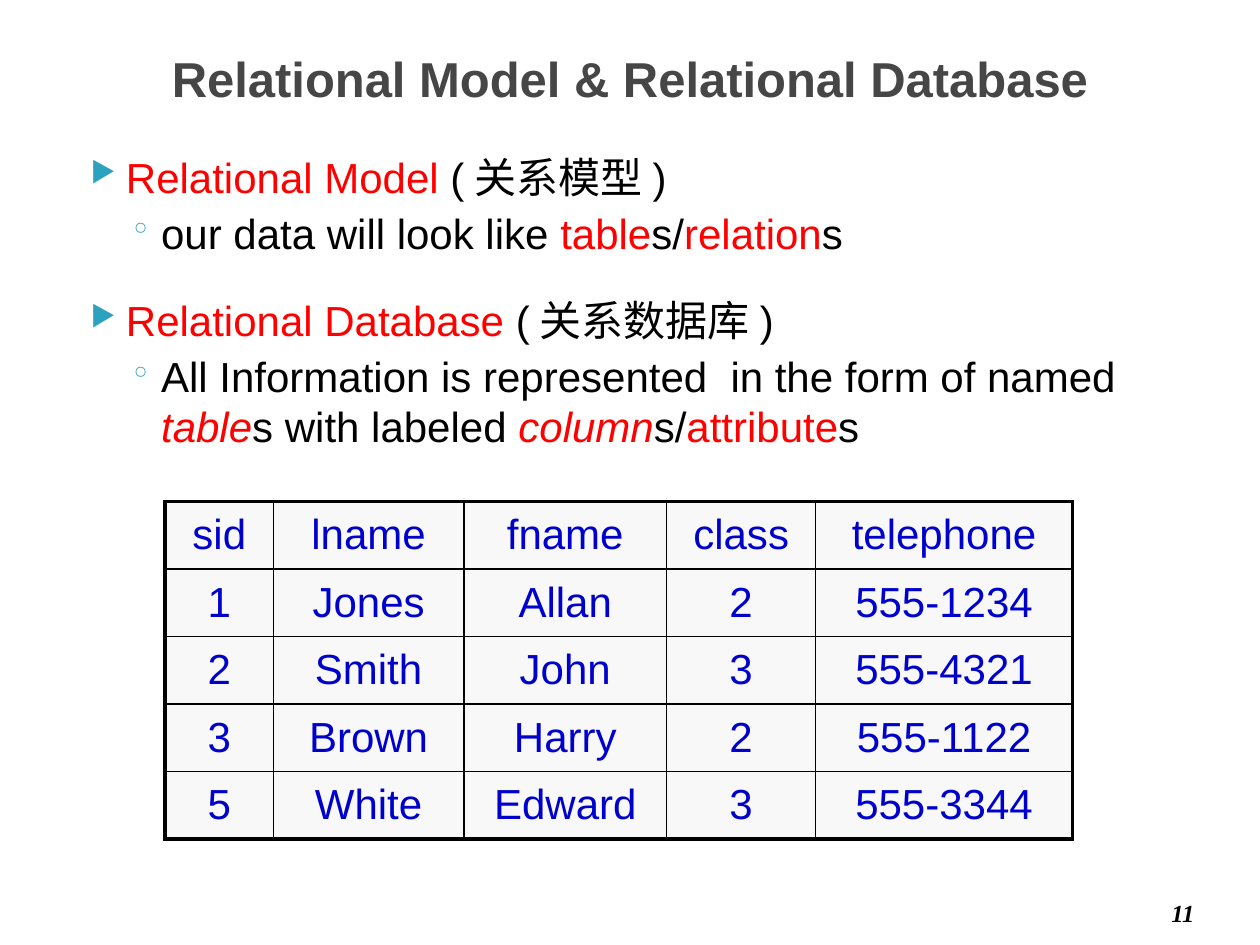
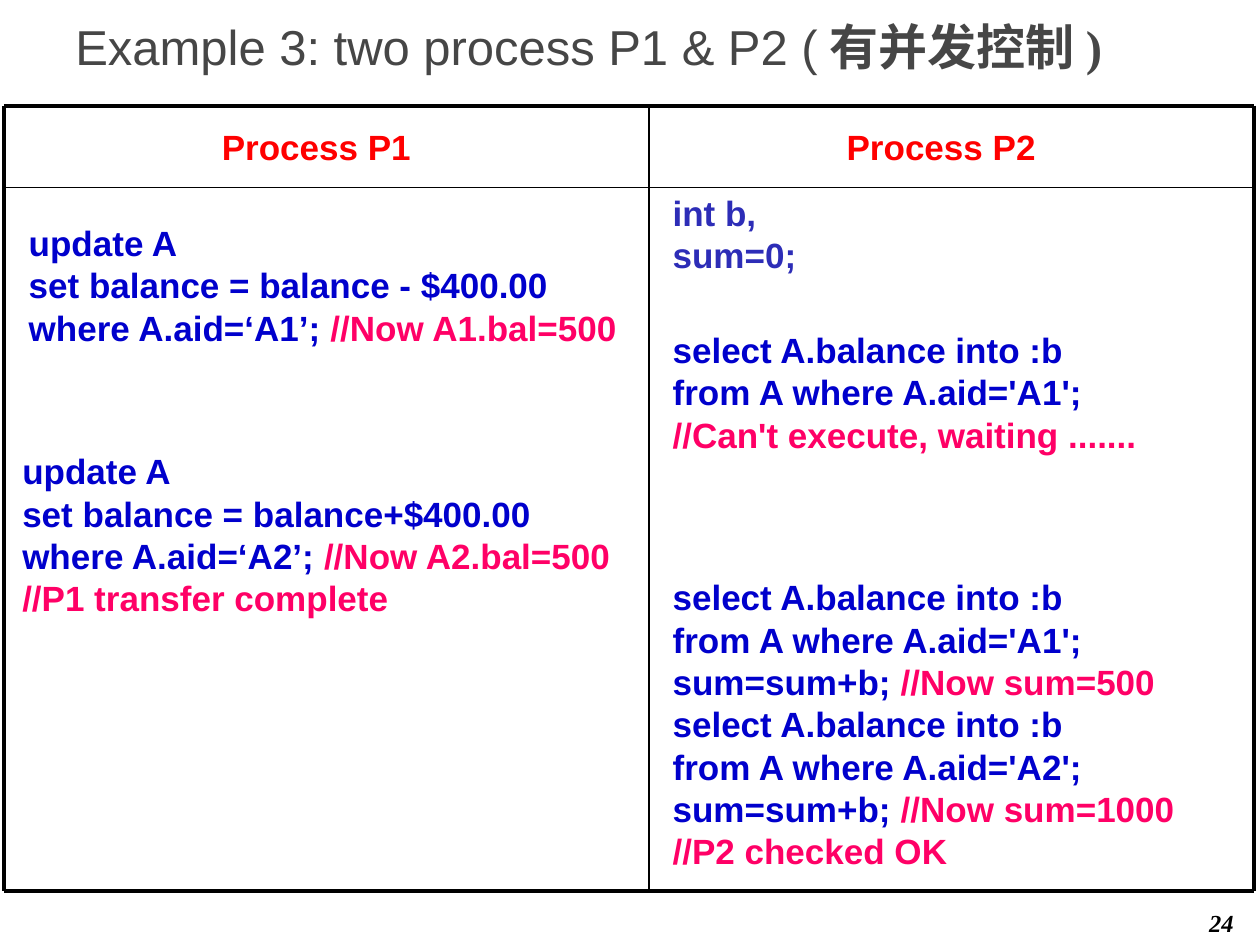
"""Build two database lecture slides: the relational model and a two-process example."""
from dataclasses import dataclass
from lxml import etree
from pptx import Presentation
from pptx import util as u
from pptx.dml.color import RGBColor
from pptx.enum import shapes, text
from pptx.oxml.ns import qn


@dataclass(frozen=True)
class Theme:
    sans: str = "Arial"
    serif: str = "Times New Roman"
    title: str = "464646"
    body: str = "000000"
    key: str = "FF0000"
    code: str = "0000CC"
    declare: str = "2D2DB7"
    remark: str = "FF0066"
    bullet: str = "2DA2BF"
    cell: str = "F8F8F8"
    paper: str = "FFFFFF"
    title_pt: int = 28
    body_pt: int = 24
    code_pt: int = 20
    number_pt: int = 14
    thick: float = 2.25
    thin: float = 1


th = Theme()
left, center, right = text.PP_ALIGN.LEFT, text.PP_ALIGN.CENTER, text.PP_ALIGN.RIGHT
top, middle = text.MSO_ANCHOR.TOP, text.MSO_ANCHOR.MIDDLE


def write(tf, paras, size, align=left, anchor=top, gap=0, **style):
    """Fill a text frame with paragraphs made of (text, colour, style) runs."""
    tf.word_wrap = True
    tf.vertical_anchor = anchor
    for i, runs in enumerate(paras):
        p = tf.add_paragraph() if i else tf.paragraphs[0]
        p.alignment = align
        if i and gap:
            p.space_before = u.Pt(gap)
        for words, color, *extra in runs:
            r = p.add_run()
            r.text = words
            r.font.size = u.Pt(size)
            r.font.color.rgb = RGBColor.from_string(color)
            look = {"name": th.sans, **style, **(extra[0] if extra else {})}
            for name, value in look.items():
                setattr(r.font, name, value)


def add_box(s, box, paras, size, **kw):
    """Add a text box at (left, top, width, height) in centimetres."""
    sp = s.shapes.add_textbox(*map(u.Cm, box))
    write(sp.text_frame, paras, size, **kw)
    return sp


prs = Presentation()
prs.slide_width, prs.slide_height = u.Cm(25.4), u.Cm(19.05)

frames = [
    (0.84, center, [("Relational Model & Relational Database", th.title, {"bold": True})],
     "11", (19.05, 17.98)),
    (0.2, left, [("Example 3: two process P1 & P2 (", th.title),
                 ("有并发控制)", th.title, {"name": th.serif, "bold": True})],
     "24", (19.84, 18.19)),
]
for y, align, title, number, corner in frames:
    s = prs.slides.add_slide(prs.slide_layouts[6])
    add_box(s, (1.27, y, 22.86, 1.45), [title], th.title_pt, align=align, anchor=middle)
    add_box(s, (*corner, 5.28, 0.84), [[(number, th.body)]], th.number_pt,
            align=right, name=th.serif, bold=True, italic=True)
model, example = prs.slides

italic = {"italic": True}
points = [
    (0, 0, [("Relational Model ", th.key), ("(关系模型)", th.body)]),
    (1, 3.2, [("our data will look like ", th.body), ("table", th.key), ("s/", th.body),
              ("relation", th.key), ("s", th.body)]),
    (0, 21, [("Relational Database ", th.key), ("(关系数据库)", th.body)]),
    (1, 3.2, [("All Information is represented  in the form of named ", th.body),
              ("table", th.key, italic), ("s with labeled ", th.body),
              ("column", th.key, italic), ("s/", th.body),
              ("attribute", th.key), ("s", th.body)]),
]
sp = add_box(model, (1.27, 2.92, 22.86, 6.38), [runs for _, _, runs in points], th.body_pt)
levels = [("▶", 1.02, 0.71), ("◦", 1.73, 0.64)]
for p, (level, before, _) in zip(sp.text_frame.paragraphs, points):
    mark, margin, hang = levels[level]
    p.level = level
    pPr = p._p.get_or_add_pPr()
    pPr.set("marL", str(u.Cm(margin)))
    pPr.set("indent", str(-u.Cm(hang)))
    clr = etree.SubElement(pPr, qn("a:buClr"))
    etree.SubElement(clr, qn("a:srgbClr"), val=th.bullet)
    etree.SubElement(pPr, qn("a:buSzPct"), val="68000")
    etree.SubElement(pPr, qn("a:buChar"), char=mark)
    p.space_before = u.Pt(before)

students = [
    ("sid", "lname", "fname", "class", "telephone"),
    ("1", "Jones", "Allan", "2", "555-1234"),
    ("2", "Smith", "John", "3", "555-4321"),
    ("3", "Brown", "Harry", "2", "555-1122"),
    ("5", "White", "Edward", "3", "555-3344"),
]
widths = [2.18, 3.84, 4.09, 3, 5.18]
row_h = 1.36
last = len(students) - 1
frame = model.shapes.add_table(len(students), len(widths), u.Cm(3.33), u.Cm(10.11),
                               u.Cm(sum(widths)), u.Cm(row_h * len(students)))
table = frame.table
table.first_row = table.horz_banding = False
for column, width in zip(table.columns, widths):
    column.width = u.Cm(width)
for i, student in enumerate(students):
    table.rows[i].height = u.Cm(row_h)
    for j, value in enumerate(student):
        cell = table.cell(i, j)
        write(cell.text_frame, [[(value, th.code)]], th.body_pt, align=center)
        cell.vertical_anchor = middle
        tcPr = cell._tc.get_or_add_tcPr()
        edges = {"a:lnL": j == 0, "a:lnR": j == len(widths) - 1,
                 "a:lnT": i == 0, "a:lnB": i == last}
        for tag, outer in edges.items():
            ln = etree.SubElement(tcPr, qn(tag), w=str(u.Pt(th.thick if outer else th.thin)))
            ink = etree.SubElement(ln, qn("a:solidFill"))
            etree.SubElement(ink, qn("a:srgbClr"), val=th.body)
        cell.fill.solid()
        cell.fill.fore_color.rgb = RGBColor.from_string(th.cell)

x0, x_mid, x1 = 0.08, 13.08, 25.27
y0, y_head, y1 = 2.13, 3.78, 17.96
half = (x1 - x0) / 2
for i, name in enumerate(["Process P1", "Process P2"]):
    add_box(example, (x0 + i * half, y0, half, y_head - y0), [[(name, th.key)]],
            th.code_pt, align=center, anchor=middle, bold=True)
add_box(example, (13.31, 3.73, 4.6, 1.09), [[("int b, sum=0;", th.declare)]],
        th.code_pt, bold=True)

rules = [(x0, y, x1, y, w) for y, w in [(y0, th.thick), (y_head, th.thin), (y1, th.thick)]]
rules += [(x, y0, x, y1, w) for x, w in [(x0, th.thick), (x_mid, th.thin), (x1, th.thick)]]
for *ends, weight in rules:
    line = example.shapes.add_connector(shapes.MSO_CONNECTOR.STRAIGHT, *map(u.Cm, ends))
    line.line.color.rgb = RGBColor.from_string(th.body)
    line.line.width = u.Pt(weight)
    etree.SubElement(line._element.spPr, qn("a:effectLst"))

steps = [
    ((0.33, 4.34, 12.5, 2.84), ["update A", "set balance = balance - $400.00",
                                "where A.aid=‘A1’; //Now A1.bal=500"]),
    ((0.2, 8.94, 12.5, 3.68), ["update A", "set balance = balance+$400.00",
                               "where A.aid=‘A2’; //Now A2.bal=500",
                               "//P1 transfer complete"]),
    ((13.31, 6.5, 11.02, 2.84), ["select A.balance into :b", "from A where A.aid='A1';",
                                 "//Can't execute, waiting ......."]),
    ((13.31, 11.48, 11.02, 6.27), ["select A.balance into :b", "from A where A.aid='A1';",
                                   "sum=sum+b; //Now sum=500",
                                   "select A.balance into :b", "from A where A.aid='A2';",
                                   "sum=sum+b; //Now sum=1000", "//P2 checked OK"]),
]
for box, lines in steps:
    sp = example.shapes.add_shape(shapes.MSO_SHAPE.RECTANGLE, *map(u.Cm, box))
    sp.shadow.inherit = False
    sp.fill.solid()
    sp.fill.fore_color.rgb = RGBColor.from_string(th.paper)
    sp.line.fill.background()
    paras = []
    for line in lines:
        code, slashes, remark = line.partition("//")
        runs = [(code, th.code), (slashes + remark, th.remark)]
        paras.append([run for run in runs if run[0]])
    write(sp.text_frame, paras, th.code_pt, gap=0.2, bold=True)

prs.save("out.pptx")
